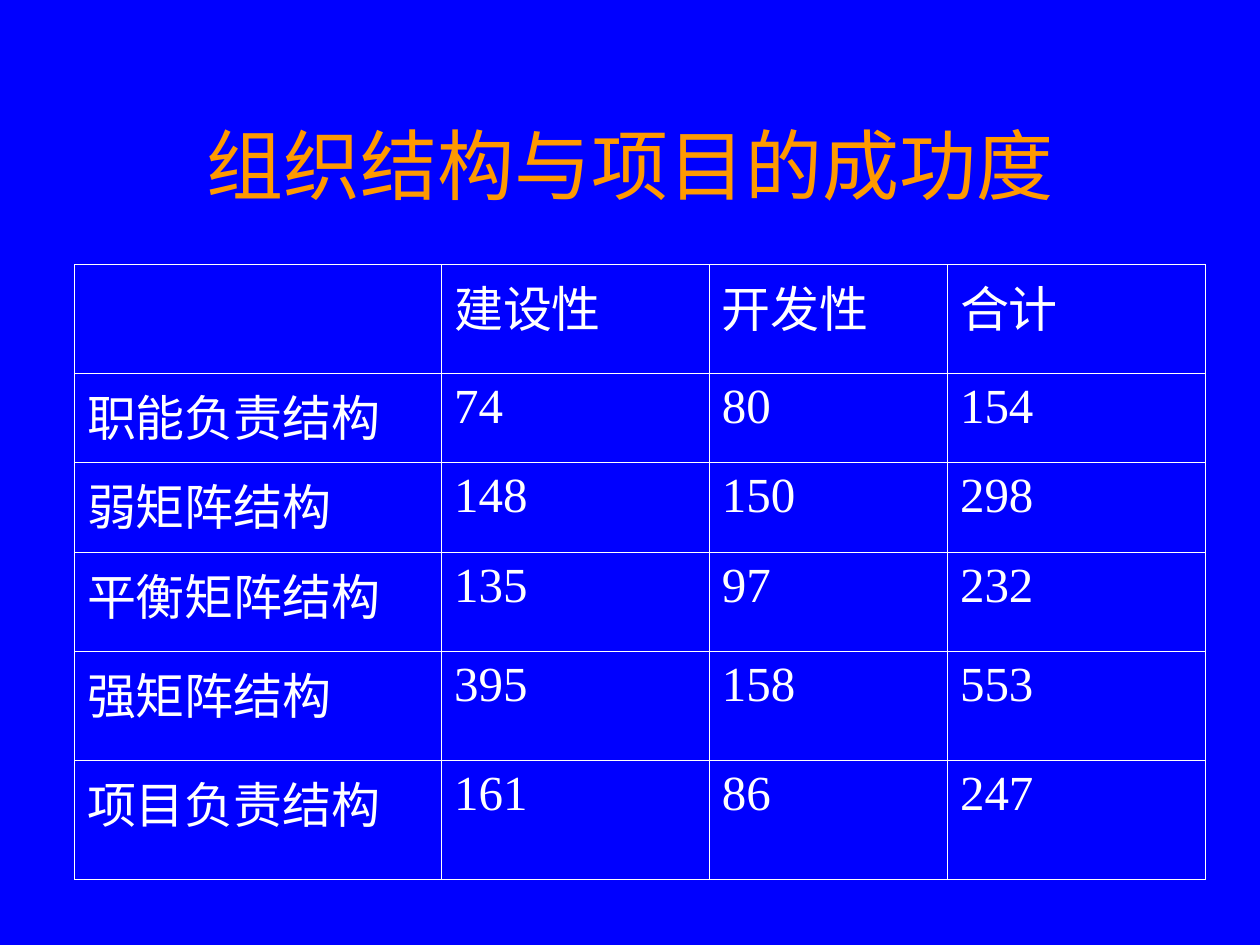
from lxml import etree
from pptx import Presentation
from pptx.dml.color import RGBColor
from pptx.enum.text import MSO_ANCHOR, PP_ALIGN
from pptx.oxml.ns import qn
from pptx.util import Cm, Pt

BLUE = RGBColor(0x00, 0x00, 0xFF)
ORANGE = RGBColor(0xFF, 0x99, 0x00)
WHITE = RGBColor(0xFF, 0xFF, 0xFF)
CENTER = PP_ALIGN.CENTER
MIDDLE = MSO_ANCHOR.MIDDLE
TITLE_ONLY = 5

HEADINGS = ["", "建设性", "开发性", "合计"]
STRUCTURES = [
    ("职能负责结构", 74, 80),
    ("弱矩阵结构", 148, 150),
    ("平衡矩阵结构", 135, 97),
    ("强矩阵结构", 395, 158),
    ("项目负责结构", 161, 86),
]
COLUMN_WIDTHS = [7.4, 5.4, 4.8, 5.2]
ROW_HEIGHTS = [2.2, 1.8, 1.8, 2, 2.2, 2.4]


class SlideBuilder:
    latin_font = "Times New Roman"
    chinese_font = "Noto Sans CJK SC"
    border_width = Pt(0.45)

    def __init__(self, presentation):
        self.slide = presentation.slides.add_slide(
            presentation.slide_layouts[TITLE_ONLY])
        background = self.slide.background.fill
        background.solid()
        background.fore_color.rgb = BLUE

    def style(self, paragraph, size, color, font_name):
        font = paragraph.font
        font.size = Pt(size)
        font.color.rgb = color
        font.name = font_name
        properties = paragraph._p.pPr.find(qn("a:defRPr"))
        etree.SubElement(properties, qn("a:ea"), typeface=self.chinese_font)

    def title(self, text, left, top, width, height):
        shape = self.slide.shapes.title
        shape.left, shape.top = Cm(left), Cm(top)
        shape.width, shape.height = Cm(width), Cm(height)
        frame = shape.text_frame
        frame.text = text
        frame.vertical_anchor = MIDDLE
        paragraph = frame.paragraphs[0]
        paragraph.alignment = CENTER
        self.style(paragraph, 44, ORANGE, self.chinese_font)

    def borders(self, cell):
        properties = cell._tc.get_or_add_tcPr()
        for side in ("a:lnL", "a:lnR", "a:lnT", "a:lnB"):
            line = etree.SubElement(
                properties, qn(side), w=str(self.border_width))
            fill = etree.SubElement(line, qn("a:solidFill"))
            etree.SubElement(fill, qn("a:srgbClr"), val=str(WHITE))

    def table(self, rows, left, top, widths, heights):
        table = self.slide.shapes.add_table(
            len(rows), len(widths), Cm(left), Cm(top),
            Cm(sum(widths)), Cm(sum(heights))).table
        table.first_row = False
        table.horz_banding = False
        for column, width in zip(table.columns, widths):
            column.width = Cm(width)
        for row, height, values in zip(table.rows, heights, rows):
            row.height = Cm(height)
            for cell, value in zip(row.cells, values):
                cell.text = str(value)
                self.borders(cell)
                cell.fill.background()
                self.style(cell.text_frame.paragraphs[0], 28, WHITE,
                           self.latin_font)


def main():
    presentation = Presentation()
    presentation.slide_width = Cm(25.4)
    presentation.slide_height = Cm(19.05)
    builder = SlideBuilder(presentation)

    # Title
    builder.title("组织结构与项目的成功度", 1.9, 1.7, 21.6, 3.18)

    # Success counts by structure, with the total of both project types
    rows = [HEADINGS] + [
        (name, construction, development, construction + development)
        for name, construction, development in STRUCTURES]
    builder.table(rows, 1.5, 5.33, COLUMN_WIDTHS, ROW_HEIGHTS)

    presentation.save("out.pptx")


if __name__ == "__main__":
    main()
